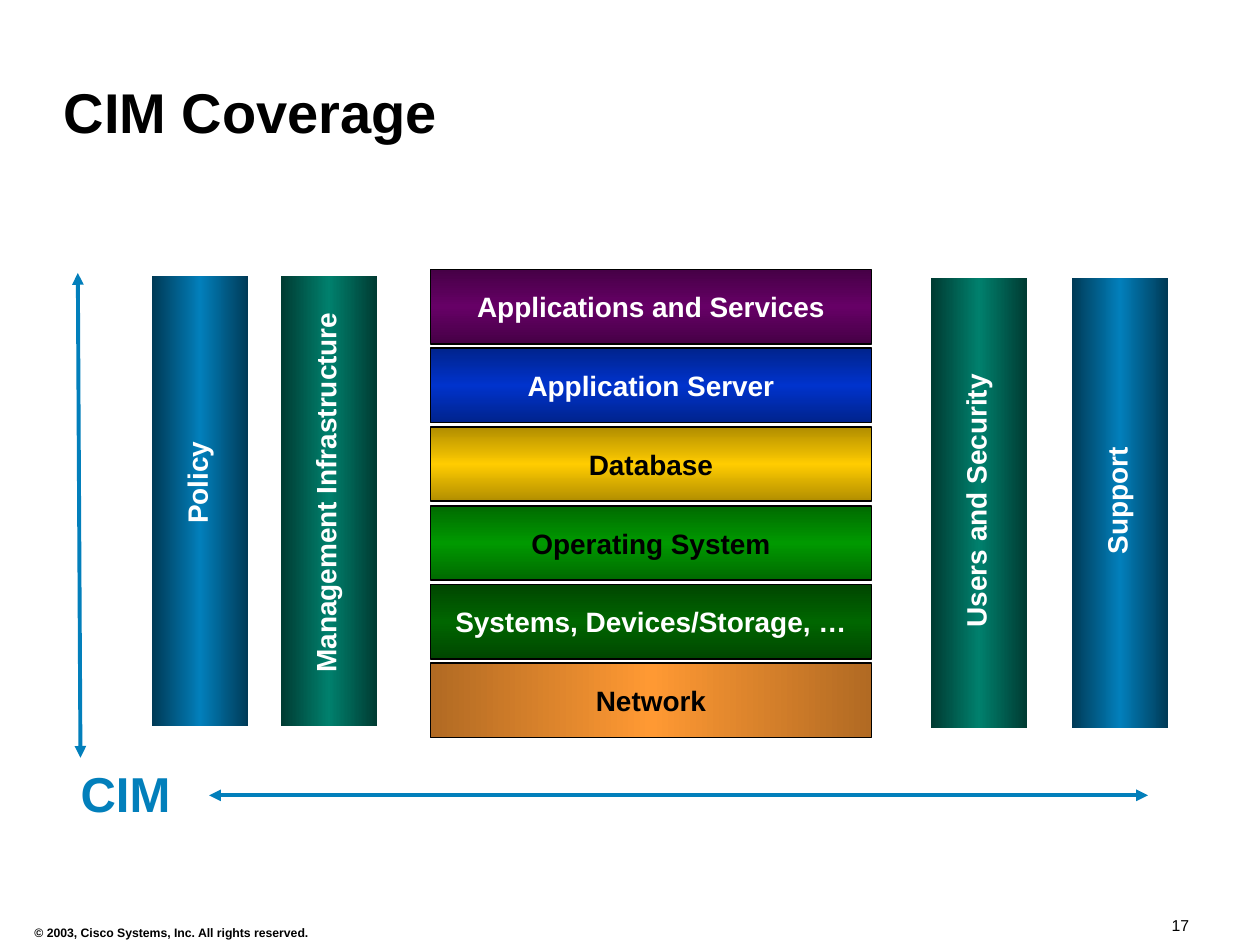
from copy import deepcopy
from dataclasses import dataclass

from pptx import Presentation
from pptx.dml.color import RGBColor
from pptx.enum.shapes import MSO_CONNECTOR as Link, MSO_SHAPE as Kind
from pptx.enum.text import MSO_ANCHOR as Anchor, PP_ALIGN as Align
from pptx.oxml.ns import qn
from pptx.util import Pt

BLACK, WHITE, BLUE = "000000", "FFFFFF", "027FBB"
NAVY, TEAL = ("003A56", BLUE), ("003B32", "00806D")


@dataclass
class Band:
    text: str
    edge: str
    core: str
    ink: str
    angle: int = 90


@dataclass
class Post:
    text: str
    left: float
    top: float
    tone: tuple[str, str]
    span: float
    mid: float


BANDS = [
    Band("Applications and Services", "460046", "660066", WHITE),
    Band("Application Server", "00238D", "0033CC", WHITE),
    Band("Database", "B18D00", "FFCC00", BLACK),
    Band("Operating System", "006A00", "009900", BLACK),
    Band("Systems, Devices/Storage, …", "004600", "006600", WHITE),
    Band("Network", "B16A23", "FF9933", BLACK, 0),
]
POSTS = [
    Post("Policy", 87, 158, NAVY, 62, 275.5),
    Post("Management Infrastructure", 160.5, 158, TEAL, 220, 281.5),
    Post("Users and Security", 532, 159, TEAL, 159, 286),
    Post("Support", 612.5, 159, NAVY, 76, 286),
]


def color(code: str) -> RGBColor:
    return RGBColor.from_string(code)


def write(shape, text: str, size: float, ink: str, bold: bool = True,
          align=Align.LEFT, anchor=Anchor.TOP, wrap: bool = False,
          pad: tuple[float, float] = (7.2, 3.6)) -> None:
    frame = shape.text_frame
    frame.text = text
    frame.word_wrap = wrap
    frame.vertical_anchor = anchor
    frame.margin_left = frame.margin_right = Pt(pad[0])
    frame.margin_top = frame.margin_bottom = Pt(pad[1])
    line = frame.paragraphs[0]
    line.alignment = align
    font = line.runs[0].font
    font.name, font.size, font.bold = "Arial", Pt(size), bold
    font.color.rgb = color(ink)


def add_text(slide, left: float, top: float, width: float, height: float,
             text: str, size: float, ink: str, **style):
    box = slide.shapes.add_textbox(Pt(left), Pt(top), Pt(width), Pt(height))
    write(box, text, size, ink, **style)
    return box


def add_bar(slide, left: float, top: float, width: float, height: float,
            edge: str, core: str, angle: int):
    bar = slide.shapes.add_shape(
        Kind.RECTANGLE, Pt(left), Pt(top), Pt(width), Pt(height))
    bar.shadow.inherit = False
    bar.fill.gradient()
    bar.fill.gradient_angle = angle
    stops = bar._element.spPr.find(qn("a:gradFill")).find(qn("a:gsLst"))
    stops.insert(1, deepcopy(stops[0]))
    for stop, code, place in zip(bar.fill.gradient_stops,
                                 (edge, core, edge), (0, 0.5, 1)):
        stop.color.rgb = color(code)
        stop.position = place
    bar.line.fill.background()
    return bar


def add_band(slide, band: Band, row: int) -> None:
    bar = add_bar(slide, 246, 154 + 45 * row, 252, 42.5,
                  band.edge, band.core, band.angle)
    bar.line.color.rgb = color(BLACK)
    bar.line.width = Pt(1)
    write(bar, band.text, 16, band.ink, align=Align.CENTER,
          anchor=Anchor.MIDDLE)


def add_post(slide, post: Post) -> None:
    wide, tall = 55, 26.5
    add_bar(slide, post.left, post.top, wide, 257, *post.tone, 0)
    mid = post.left + wide / 2 - 2
    label = add_text(slide, mid - post.span / 2, post.mid - tall / 2,
                     post.span, tall, post.text, 16, WHITE)
    label.rotation = 270


def add_arrow(slide, *ends: float) -> None:
    arrow = slide.shapes.add_connector(
        Link.STRAIGHT, *(Pt(end) for end in ends))
    arrow.line.color.rgb = color(BLUE)
    arrow.line.width = Pt(2.25)
    line = arrow.line._get_or_add_ln()
    for tag in ("a:headEnd", "a:tailEnd"):
        tip = line.makeelement(qn(tag), {"type": "triangle"})
        line.append(tip)
    props = arrow._element.spPr
    props.append(props.makeelement(qn("a:effectLst"), {}))


def main() -> None:
    deck = Presentation()
    deck.slide_width, deck.slide_height = Pt(720), Pt(540)
    slide = deck.slides.add_slide(deck.slide_layouts[5])

    title = slide.shapes.title
    title.left, title.top = Pt(30), Pt(20)
    title.width, title.height = Pt(600), Pt(66)
    foot = {"anchor": Anchor.BOTTOM, "pad": (6.5, 3)}
    write(title, "CIM Coverage", 32, BLACK, wrap=True, **foot)
    title.text_frame.paragraphs[0].line_spacing = 0.9

    for row, band in enumerate(BANDS):
        add_band(slide, band, row)
    for post in POSTS:
        add_post(slide, post)

    add_arrow(slide, 119.5, 454.5, 656, 454.5)
    add_arrow(slide, 44.5, 156, 46, 433)
    add_text(slide, 39, 433, 65.5, 41, "CIM", 28, BLUE)
    add_text(slide, 0, 525, 196, 15,
             "© 2003, Cisco Systems, Inc. All rights reserved.", 7, BLACK,
             align=Align.CENTER, wrap=True, **foot)
    add_text(slide, 663, 520, 54, 17, "17", 9, BLACK, bold=False,
             wrap=True, **foot)
    deck.save("out.pptx")


if __name__ == "__main__":
    main()
